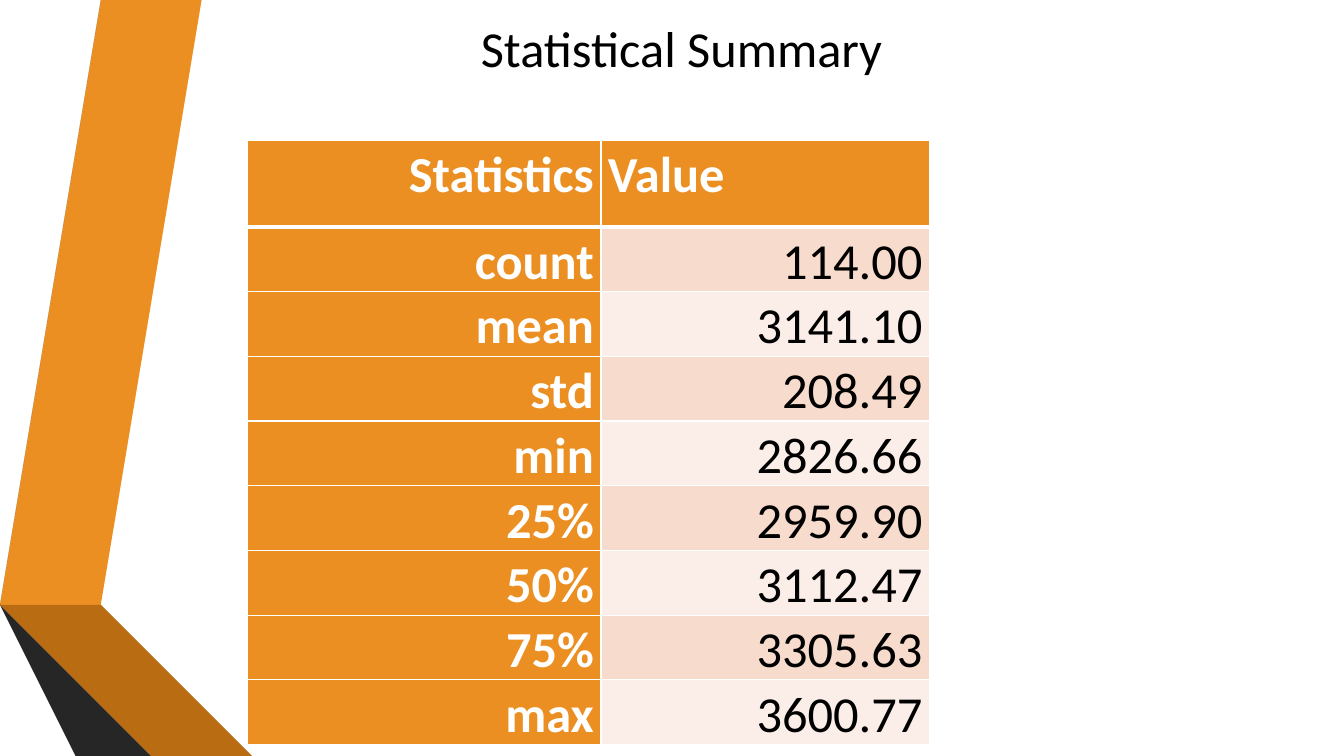
from lxml import etree
from pptx import Presentation
from pptx.dml.color import RGBColor
from pptx.enum.text import MSO_ANCHOR as Anchor, PP_ALIGN as Align
from pptx.oxml.ns import qn
from pptx.util import Inches, Pt

ORANGE, WHITE, BLACK = "EB8F22", "FFFFFF", "000000"
BANDS = ("F7DBCD", "FBEEE8")
RIBBONS = [
    (ORANGE, [(0.5, 5.78), (0.77, 5.83), (1.73, 0), (1.45, 0)]),
    ("595959", [(1.39, 0), (1.11, 0), (0.16, 5.73), (0.44, 5.77)]),
    ("262626", [(0.16, 5.73), (1.45, 7.5), (1.51, 7.5)]),
    ("7B480B", [(0.5, 5.79), (2.08, 7.5), (2.14, 7.5)]),
    ("B96C11", [(0.5, 5.79), (2.14, 7.5), (2.83, 7.5), (0.77, 5.83), (0.5, 5.78)]),
    ("404040", [(2.02, 7.5), (0.48, 5.83), (0.43, 5.78), (0.44, 5.77),
                (0.16, 5.73), (1.51, 7.5)]),
]
STATISTICS = [
    ("Statistics", "Value"),
    ("count", "114.00"),
    ("mean", "3141.10"),
    ("std", "208.49"),
    ("min", "2826.66"),
    ("25%", "2959.90"),
    ("50%", "3112.47"),
    ("75%", "3305.63"),
    ("max", "3600.77"),
]


def color(value):
    """Return the colour for a hex string."""
    return RGBColor.from_string(value)


def apply_format(target, values):
    """Set each attribute named in a dict of format values."""
    for name, value in values.items():
        setattr(target, name, value)


def write_text(frame, text, ink, bold=False, **paragraph_format):
    """Write one formatted paragraph into a text frame."""
    paragraph = frame.paragraphs[0]
    apply_format(paragraph, paragraph_format)
    run = paragraph.add_run()
    run.text = text
    apply_format(run.font, {"name": "Calibri", "size": Pt(36), "bold": bold})
    run.font.color.rgb = color(ink)


def add_ribbon(slide, fill, points):
    """Draw a filled polygon through points given in inches."""
    builder = slide.shapes.build_freeform(*points[0], scale=Inches(1))
    builder.add_line_segments(points[1:], close=True)
    shape = builder.convert_to_shape()
    shape.shadow.inherit = False
    shape.fill.solid()
    shape.fill.fore_color.rgb = color(fill)
    shape.line.fill.background()


def add_title(slide, text):
    """Add the centred slide title."""
    box = slide.shapes.add_textbox(Inches(1.28), Inches(0.18), Inches(10.96), Inches(0.58))
    frame = box.text_frame
    apply_format(frame, {"word_wrap": True, "vertical_anchor": Anchor.MIDDLE})
    write_text(frame, text, BLACK, alignment=Align.CENTER)


def add_border(cell, side, width):
    """Add a white border to one side of a cell."""
    properties = cell._tc.get_or_add_tcPr()
    line = etree.SubElement(properties, qn(f"a:ln{side}"), w=str(Pt(width)))
    fill = etree.SubElement(line, qn("a:solidFill"))
    etree.SubElement(fill, qn("a:srgbClr"), val=WHITE)


def format_cell(cell, row, column, text):
    """Style one cell by its place in the table and write its text."""
    heading = row == 0 or column == 0
    margins = {"margin_left": Inches(0.07), "margin_right": Inches(0.07),
               "margin_top": 0, "margin_bottom": 0}
    apply_format(cell, margins)
    widths = {"L": 1, "R": 1, "T": 3 if row == 1 else 1, "B": 3 if row == 0 else 1}
    for side, width in widths.items():
        add_border(cell, side, width)
    cell.fill.solid()
    cell.fill.fore_color.rgb = color(ORANGE if heading else BANDS[(row - 1) % 2])
    alignment = Align.LEFT if (row, column) == (0, 1) else Align.RIGHT
    write_text(cell.text_frame, text, WHITE if heading else BLACK, heading,
               alignment=alignment, line_spacing=1.07)


def add_statistics_table(slide, records):
    """Add the table of statistics with its heading row and column."""
    frame = slide.shapes.add_table(len(records), 2, Inches(2.45), Inches(1.39),
                                   Inches(6.77), Inches(5.58))
    table = frame.table
    for column, width in zip(table.columns, (3.51, 3.26)):
        column.width = Inches(width)
    for row, record in enumerate(records):
        table.rows[row].height = Inches(0.59 if row else 0.86)
        for column, text in enumerate(record):
            format_cell(table.cell(row, column), row, column, text)


def main():
    """Build the statistical summary slide."""
    presentation = Presentation()
    apply_format(presentation, {"slide_width": Inches(13.33), "slide_height": Inches(7.5)})
    slide = presentation.slides.add_slide(presentation.slide_layouts[6])
    for fill, points in RIBBONS:
        add_ribbon(slide, fill, points)
    add_title(slide, "Statistical Summary")
    add_statistics_table(slide, STATISTICS)
    presentation.save("out.pptx")


if __name__ == "__main__":
    main()
